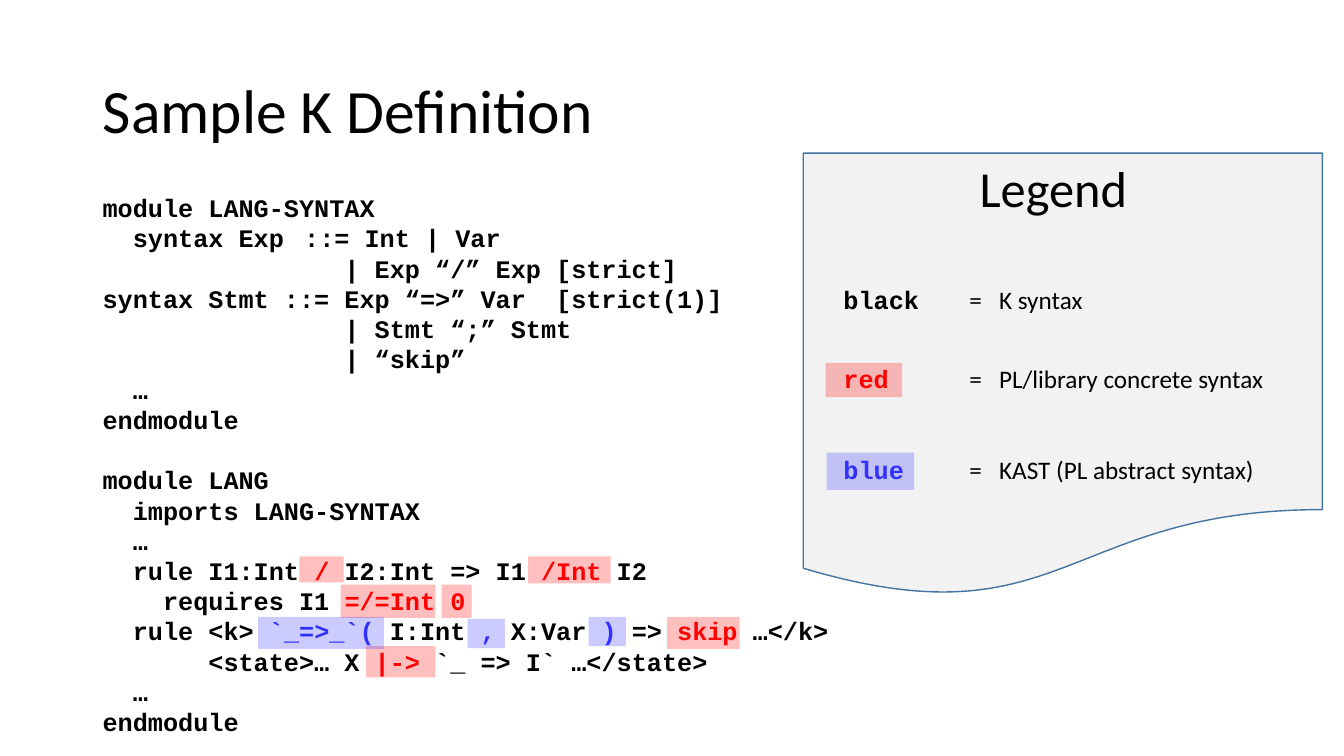
from lxml.etree import SubElement
from pptx import Presentation
from pptx.dml.color import RGBColor
from pptx.enum.shapes import MSO_SHAPE
from pptx.enum.text import MSO_ANCHOR, MSO_AUTO_SIZE, PP_ALIGN
from pptx.oxml.ns import qn
from pptx.util import Pt

BLACK = RGBColor(0x00, 0x00, 0x00)
RED = RGBColor(0xFF, 0x00, 0x00)
BLUE = RGBColor(0x31, 0x31, 0xFF)
PANEL_FILL = RGBColor(0xF2, 0xF2, 0xF2)
PANEL_LINE = RGBColor(0x43, 0x73, 0x9E)

BODY_FONT, CODE_FONT = "Calibri", "Courier New"
CODE_COLUMN = 10.8  # width of one 18 pt monospaced character
CODE_LINE = 21.6
CODE_TABS = [14 * CODE_COLUMN, 32 * CODE_COLUMN]

# Each line: indent in columns, then plain text or (text, colour) pieces
SYNTAX_MODULE = [
    (0, "module LANG-SYNTAX"),
    (2, "syntax Exp\t::= Int | Var"),
    (16, "| Exp “/” Exp\t[strict]"),
    (0, "syntax Stmt ::= Exp “=>” Var\t[strict(1)]"),
    (16, "| Stmt “;” Stmt"),
    (16, "| “skip”"),
    (2, "…"),
    (0, "endmodule"),
]
LANG_MODULE = [
    (0, "module LANG"),
    (2, "imports LANG-SYNTAX"),
    (2, "…"),
    (2, "rule I1:Int", (" / ", RED), "I2:Int => I1 ", ("/Int ", RED), "I2"),
    (4, "requires I1 ", ("=/=Int 0", RED)),
    (2, "rule <k> ", ("`_=>_`( ", BLUE), "I:Int ", (",", BLUE), " X:Var ",
     (")", BLUE), " => ", ("skip", RED), " …</k>"),
    (7, "<state>… X ", ("|->", RED), " `_ => I` …</state>"),
    (2, "…"),
    (0, "endmodule"),
]

# Highlights: left, top, width, height, colour
DIVISION_MARKS = [
    (213.8, 397.4, 31.7, 18.7, RED),
    (377.3, 397.4, 59, 19.4, RED),
]
FRONT_MARKS = [
    (243.4, 417.6, 67.7, 23.8, RED),
    (315.4, 417.6, 21.6, 23.8, RED),
    (476.6, 440.6, 51.8, 23, RED),
    (261.4, 461.5, 49.7, 22.3, RED),
    (184.3, 440.6, 90, 23, BLUE),
    (334.1, 442.1, 26.6, 20.9, BLUE),
    (420.5, 440.6, 26.6, 20.9, BLUE),
    (590.4, 323.3, 62.6, 26.6, BLUE),
    (589.7, 259.2, 54.7, 24.5, RED),
]

# Legend rows: top, word, word width, colour, meaning, meaning width
LEGEND_ROWS = [
    (199.4, "black", 69.1, BLACK, "K syntax", 96.5),
    (256.3, "red", 46.8, RED, "PL/library concrete syntax", 226.8),
    (321.1, "blue", 58.3, BLUE, "KAST (PL abstract syntax)", 219.6),
]


def style(span, size, font=BODY_FONT, color=BLACK):
    span.font.size = Pt(size)
    span.font.name = font
    span.font.bold = font == CODE_FONT
    span.font.color.rgb = color


def set_tabs(para, positions):
    tabs = SubElement(para._p.get_or_add_pPr(), qn("a:tabLst"))
    for position in positions:
        SubElement(tabs, qn("a:tab"), pos=str(int(Pt(position))), algn="l")


def add_box(page, left, top, width, height, wrap=False):
    box = page.shapes.add_textbox(Pt(left), Pt(top), Pt(width), Pt(height))
    box.text_frame.word_wrap = wrap
    box.text_frame.auto_size = MSO_AUTO_SIZE.SHAPE_TO_FIT_TEXT
    return box.text_frame


def add_label(page, text, left, top, width, height, size, **look):
    para = add_box(page, left, top, width, height).paragraphs[0]
    para.text = text
    style(para.runs[0], size, **look)
    return para


def add_code(page):
    frame = add_box(page, 66.2, 133.9, 535.7, 399.6, wrap=True)
    for number, (indent, *pieces) in enumerate(SYNTAX_MODULE + LANG_MODULE):
        para = frame.add_paragraph() if number else frame.paragraphs[0]
        para.line_spacing = Pt(CODE_LINE)
        if number == len(SYNTAX_MODULE):
            para.space_before = Pt(CODE_LINE)
        properties = para._p.get_or_add_pPr()
        properties.set("marL", "0")
        properties.set("indent", str(int(Pt(indent * CODE_COLUMN))))
        set_tabs(para, CODE_TABS)
        for piece in pieces:
            text, color = (piece, BLACK) if isinstance(piece, str) else piece
            span = para.add_run()
            span.text = text
            style(span, 18, CODE_FONT, color)


def add_panel(page, kind, left, top, width, height, color):
    shape = page.shapes.add_shape(kind, Pt(left), Pt(top), Pt(width), Pt(height))
    shape.shadow.inherit = False
    shape.fill.solid()
    shape.fill.fore_color.rgb = color
    shape.line.fill.background()
    return shape


def add_highlights(page, marks):
    for mark in marks:
        shape = add_panel(page, MSO_SHAPE.RECTANGLE, *mark)
        fill = shape._element.spPr.find(qn("a:solidFill"))
        SubElement(fill[0], qn("a:alpha"), val="25000")


def add_legend(page):
    panel = add_panel(page, MSO_SHAPE.FLOWCHART_DOCUMENT,
                      573.8, 109.4, 370.8, 317.5, PANEL_FILL)
    panel.line.color.rgb = PANEL_LINE
    panel.line.width = Pt(1)
    add_label(page, "Legend", 692.6, 108.7, 121, 51.1, 36)
    for top, word, word_width, color, meaning, meaning_width in LEGEND_ROWS:
        add_label(page, word, 595.4, top, word_width, 28.8, 18,
                  font=CODE_FONT, color=color)
        para = add_label(page, f"=\t{meaning}", 685.4, top, meaning_width, 28.8, 18)
        set_tabs(para, [21.2])


def set_title(page, text):
    title = page.shapes.title
    title.left, title.top, title.width, title.height = (
        Pt(66.2), Pt(28.8), Pt(828), Pt(104.4))
    frame = title.text_frame
    frame.text = text
    frame.word_wrap = True
    frame.auto_size = MSO_AUTO_SIZE.NONE
    frame.vertical_anchor = MSO_ANCHOR.MIDDLE
    para = frame.paragraphs[0]
    para.alignment = PP_ALIGN.LEFT
    para.line_spacing = 0.9
    style(para.runs[0], 44)


def main():
    deck = Presentation()
    deck.slide_width, deck.slide_height = Pt(960), Pt(540)
    page = deck.slides.add_slide(deck.slide_layouts[5])
    set_title(page, "Sample K Definition")
    # Code listing, with the division highlights behind it
    add_highlights(page, DIVISION_MARKS)
    add_code(page)
    # Legend, then the highlights in front
    add_legend(page)
    add_highlights(page, FRONT_MARKS)
    deck.save("out.pptx")


if __name__ == "__main__":
    main()
